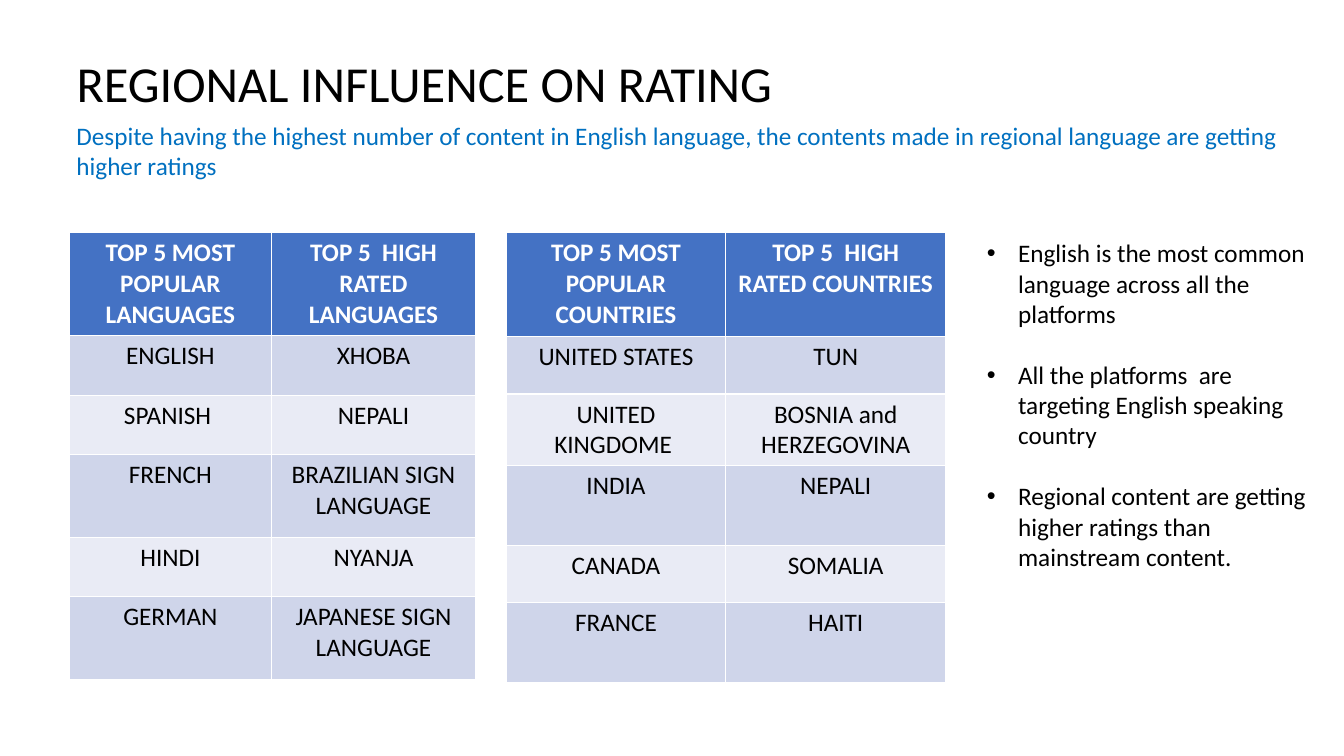
import dataclasses

import lxml.etree
import pptx
import pptx.dml.color
import pptx.enum.text
import pptx.oxml.ns
import pptx.util

FONT = "Calibri"
BLACK, WHITE, BLUE = "000000", "FFFFFF", "0070C0"
HEAD, BANDS = "4472C4", ("CFD5EA", "E9EBF5")
ALIGN = pptx.enum.text.PP_ALIGN
SIZE = pptx.enum.text.MSO_AUTO_SIZE
WIDE, HIGH = pptx.util.Inches(13.33), pptx.util.Inches(7.5)


@dataclasses.dataclass
class Box:
    """Place on the slide, in percent of its width and height."""
    left: float
    top: float
    width: float
    height: float


@dataclasses.dataclass
class Grid:
    """Table with column and row sizes in percent of the slide."""
    left: float
    top: float
    cols: list[float]
    rows: list[float]
    cells: list[tuple[str, str]]


TITLE = Box(4.95, 5.33, 88.75, 12.13)
LEDE = Box(4.95, 15.2, 91.07, 9.47)
NOTES = Box(72.69, 30.8, 25.5, 49.87)

GRIDS = [
    Grid(5.18, 30.8, [15, 15.23], [13.6, 7.87, 7.87, 10.93, 7.87, 10.93], [
        ("TOP 5 MOST POPULAR LANGUAGES", "TOP 5  HIGH RATED LANGUAGES"),
        ("ENGLISH", "XHOBA"),
        ("SPANISH ", "NEPALI"),
        ("FRENCH", "BRAZILIAN SIGN LANGUAGE"),
        ("HINDI", "NYANJA"),
        ("GERMAN", "JAPANESE SIGN LANGUAGE"),
    ]),
    Grid(37.66, 30.8, [16.35, 16.35], [13.73, 7.6, 9.07, 10.53, 7.6, 10.53], [
        ("TOP 5 MOST POPULAR COUNTRIES", "TOP 5  HIGH RATED COUNTRIES"),
        ("UNITED STATES", "TUN"),
        ("UNITED KINGDOME ", "BOSNIA and HERZEGOVINA"),
        ("INDIA", "NEPALI"),
        ("CANADA", "SOMALIA"),
        ("FRANCE", "HAITI"),
    ]),
]

POINTS = [
    "English is the most common language across all the platforms",
    "All the platforms  are targeting English speaking country",
    "Regional content are getting higher ratings than mainstream content.",
]


def across(share: float) -> int:
    return round(WIDE * share / 100)


def down(share: float) -> int:
    return round(HIGH * share / 100)


def place(box: Box) -> tuple[int, int, int, int]:
    return across(box.left), down(box.top), across(box.width), down(box.height)


def color(code: str) -> pptx.dml.color.RGBColor:
    return pptx.dml.color.RGBColor.from_string(code)


def write(para, text: str, tone: str, size: float = 18, bold: bool = False) -> None:
    run = para.add_run()
    run.text = text
    run.font.name = FONT
    run.font.size = pptx.util.Pt(size)
    run.font.bold = bold
    run.font.color.rgb = color(tone)


def bullet(para) -> None:
    props = para._p.get_or_add_pPr()
    inset = pptx.util.Inches(0.31)
    props.set("marL", str(inset))
    props.set("indent", str(-inset))
    for tag, key, value in (("a:buFont", "typeface", "Arial"), ("a:buChar", "char", "•")):
        lxml.etree.SubElement(props, pptx.oxml.ns.qn(tag)).set(key, value)


def add_title(slide, box: Box, text: str) -> None:
    title = slide.shapes.title
    title.left, title.top, title.width, title.height = place(box)
    frame = title.text_frame
    frame.auto_size = SIZE.NONE
    frame.vertical_anchor = pptx.enum.text.MSO_ANCHOR.MIDDLE
    para = frame.paragraphs[0]
    para.alignment = ALIGN.LEFT
    para.line_spacing = 0.9
    write(para, text, BLACK, 36)


def add_text(slide, box: Box, lines: list[str], tone: str, listed: bool = False) -> None:
    frame = slide.shapes.add_textbox(*place(box)).text_frame
    frame.word_wrap = True
    frame.auto_size = SIZE.SHAPE_TO_FIT_TEXT
    for num, line in enumerate(lines):
        para = frame.add_paragraph() if num else frame.paragraphs[0]
        if num:
            para.space_before = pptx.util.Pt(22)
        if listed:
            bullet(para)
        write(para, line, tone)


def add_grid(slide, grid: Grid) -> None:
    box = Box(grid.left, grid.top, sum(grid.cols), sum(grid.rows))
    table = slide.shapes.add_table(len(grid.rows), len(grid.cols), *place(box)).table
    for col, share in zip(table.columns, grid.cols):
        col.width = across(share)
    for num, (row, share, texts) in enumerate(zip(table.rows, grid.rows, grid.cells)):
        row.height = down(share)
        top = num == 0
        for cell, text in zip(row.cells, texts):
            cell.fill.solid()
            cell.fill.fore_color.rgb = color(HEAD if top else BANDS[(num - 1) % 2])
            para = cell.text_frame.paragraphs[0]
            para.alignment = ALIGN.CENTER
            write(para, text, WHITE if top else BLACK, bold=top)


def main() -> None:
    deck = pptx.Presentation()
    deck.slide_width, deck.slide_height = WIDE, HIGH
    slide = deck.slides.add_slide(deck.slide_layouts[5])

    # Heading
    add_title(slide, TITLE, "REGIONAL INFLUENCE ON RATING")

    # Languages and countries
    for grid in GRIDS:
        add_grid(slide, grid)

    # Findings
    add_text(slide, NOTES, POINTS, BLACK, listed=True)

    # Key message
    add_text(slide, LEDE, [
        "Despite having the highest number of content in English language, "
        "the contents made in regional language are getting higher ratings"
    ], BLUE)

    deck.save("out.pptx")


if __name__ == "__main__":
    main()
